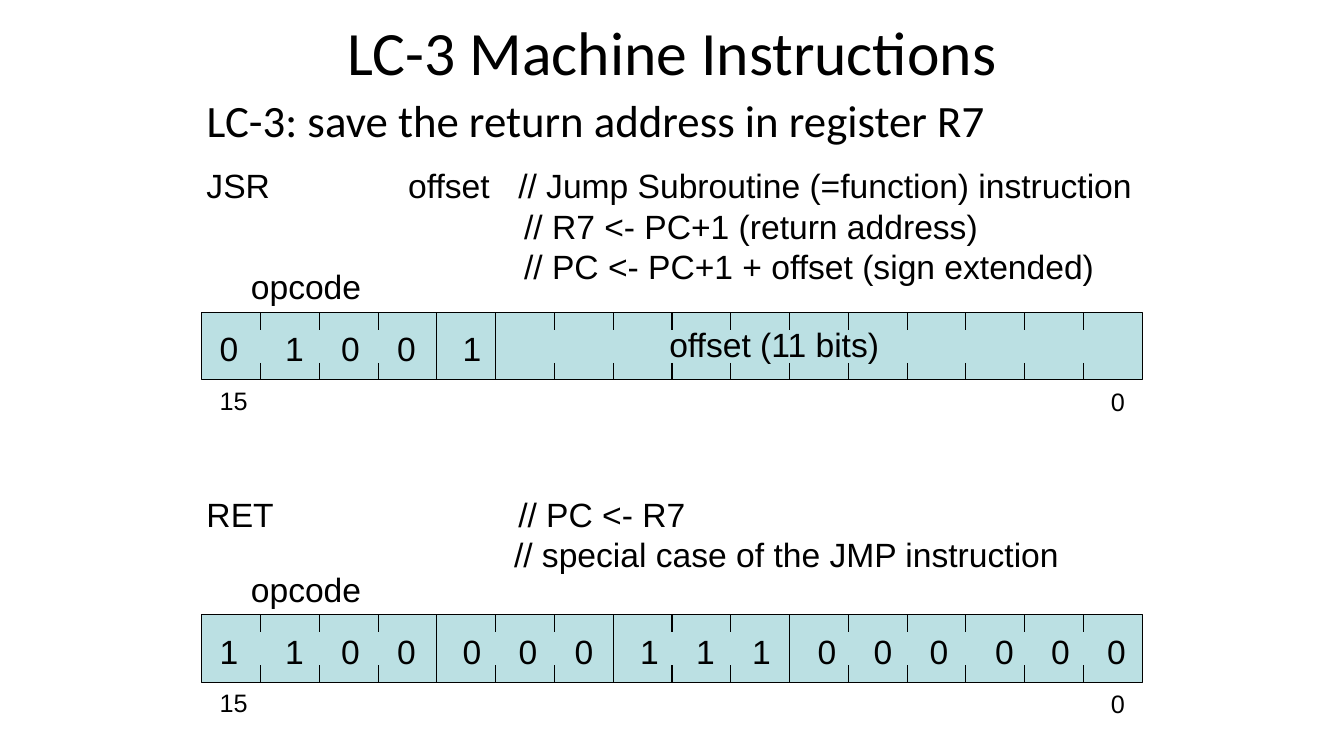
"""Build the slide on the LC-3 instructions JSR and RET."""
from dataclasses import dataclass

from lxml import etree
from pptx import Presentation
from pptx.dml.color import RGBColor
from pptx.enum.shapes import MSO_CONNECTOR, MSO_SHAPE
from pptx.enum.text import MSO_ANCHOR, MSO_AUTO_SIZE, PP_ALIGN
from pptx.oxml.ns import qn
from pptx.util import Inches, Pt

STRAIGHT = MSO_CONNECTOR.STRAIGHT
RECTANGLE = MSO_SHAPE.RECTANGLE
MIDDLE = MSO_ANCHOR.MIDDLE
CENTER = PP_ALIGN.CENTER
LEFT = PP_ALIGN.LEFT
FIT_SHAPE = MSO_AUTO_SIZE.SHAPE_TO_FIT_TEXT
NO_FIT = MSO_AUTO_SIZE.NONE

BLACK = "000000"
CELL_FILL = "BBE0E3"
HEADING_FONT = "Calibri"
TEXT_FONT = "Arial"
BIT_COUNT = 16
MIDDLE_COLUMN = BIT_COUNT // 2
WORD_LEFT = 2.0
WORD_WIDTH = 9.33
WORD_HEIGHT = 0.67
TICK = 0.17
BIT_SPACING = 2000
BIT_GROUP_SPACING = 2670
BIT_GROUP_SIZE = 3


@dataclass(frozen=True)
class Line:
    text: str
    indent: float = 0


@dataclass(frozen=True)
class Label:
    text: str
    left: float
    drop: float
    width: float
    size: int = 24


@dataclass(frozen=True)
class Instruction:
    lines: tuple[Line, ...]
    text_top: float
    word_top: float
    bits: str
    bits_drop: float
    bits_width: float
    dividers: tuple[int, ...]
    labels: tuple[Label, ...] = ()


COMMON_LABELS = (
    Label("opcode", 2.39, -0.51, 1.31),
    Label("0", 10.92, 0.68, 0.34, 18),
    Label("15", 2.08, 0.67, 0.48, 18),
)
INSTRUCTIONS = (
    Instruction(
        (
            Line("JSR\t\t\toffset\t // Jump Subroutine (=function) instruction"),
            Line("// R7 <- PC+1 (return address)", 3.15),
            Line("// PC <- PC+1 + offset (sign extended)", 3.15),
        ),
        1.59, 3.1, "01001", 0.1, 2.81, (4, 5),
        (Label("offset (11 bits)", 6.54, 0.06, 2.33),),
    ),
    Instruction(
        (
            Line("RET\t\t\t\t\t // PC <- R7"),
            Line("// special case of the JMP instruction", 3.05),
        ),
        4.85, 6.1, "1100000111000000", 0.11, 9.24, (4, 7, 10),
    ),
)


def color(value: str) -> RGBColor:
    """Turn a hex string into a colour."""
    return RGBColor.from_string(value)


def set_font(paragraph, name: str, size: int) -> None:
    """Set the font of a whole paragraph."""
    paragraph.font.name = name
    paragraph.font.size = Pt(size)
    paragraph.font.color.rgb = color(BLACK)


def set_indent(paragraph, indent: float) -> None:
    """Set the left margin of a paragraph without a hanging first line."""
    properties = paragraph._p.get_or_add_pPr()
    properties.set("marL", str(Inches(indent)))
    properties.set("indent", "0")


def fill_placeholder(shape, text: str, box: tuple[float, ...], size: int, alignment) -> None:
    """Place a placeholder and give it one plain paragraph."""
    shape.left, shape.top, shape.width, shape.height = map(Inches, box)
    shape.text_frame.auto_size = NO_FIT
    paragraph = shape.text_frame.paragraphs[0]
    paragraph.text = text
    paragraph.alignment = alignment
    set_indent(paragraph, 0)
    etree.SubElement(paragraph._p.get_or_add_pPr(), qn("a:buNone"))
    set_font(paragraph, HEADING_FONT, size)


def add_text(shapes, lines: tuple[Line, ...], left: float, top: float,
             width: float, size: int = 24):
    """Add a text box with one paragraph for each line and return its frame."""
    height = 0.1 + len(lines) * size / 60
    box = shapes.add_textbox(Inches(left), Inches(top), Inches(width), Inches(height))
    frame = box.text_frame
    frame.word_wrap = True
    frame.auto_size = FIT_SHAPE
    for index, line in enumerate(lines):
        paragraph = frame.add_paragraph() if index else frame.paragraphs[0]
        paragraph.text = line.text
        set_indent(paragraph, line.indent)
        set_font(paragraph, TEXT_FONT, size)
    return frame


def add_bits(shapes, instruction: Instruction) -> None:
    """Write the bits in one line, with widened spaces that reach the next cell."""
    frame = add_text(shapes, (Line(instruction.bits[0]),), 2.08,
                     instruction.word_top + instruction.bits_drop, instruction.bits_width)
    paragraph = frame.paragraphs[0]
    for index, bit in enumerate(instruction.bits[1:]):
        gap = paragraph.add_run()
        gap.text = " "
        spacing = BIT_SPACING if index % BIT_GROUP_SIZE else BIT_GROUP_SPACING
        gap._r.get_or_add_rPr().set("spc", str(spacing))
        paragraph.add_run().text = bit


def add_divider(shapes, x: float, top: float, bottom: float):
    """Add a thin vertical line."""
    line = shapes.add_connector(STRAIGHT, Inches(x), Inches(top), Inches(x), Inches(bottom))
    line.line.color.rgb = color(BLACK)
    line.line.width = Pt(0.75)
    etree.SubElement(line._element.spPr, qn("a:effectLst"))
    return line


def add_word(shapes, instruction: Instruction) -> None:
    """Draw the 16-bit word of an instruction with its labels."""
    top = instruction.word_top
    bottom = top + WORD_HEIGHT
    word = shapes.add_shape(RECTANGLE, Inches(WORD_LEFT), Inches(top),
                            Inches(WORD_WIDTH), Inches(WORD_HEIGHT))
    word.shadow.inherit = False
    word.fill.solid()
    word.fill.fore_color.rgb = color(CELL_FILL)
    word.line.color.rgb = color(BLACK)
    word.line.width = Pt(0.75)
    for column in range(1, BIT_COUNT):
        x = WORD_LEFT + column * WORD_WIDTH / BIT_COUNT
        if column in instruction.dividers:
            add_divider(shapes, x, top, bottom)
            continue
        upper = add_divider(shapes, x, top, top + TICK)
        lower = add_divider(shapes, x, bottom - TICK, bottom)
        if column == MIDDLE_COLUMN:
            upper.begin_connect(word, 0)
            lower.end_connect(word, 2)
    add_bits(shapes, instruction)
    for label in COMMON_LABELS + instruction.labels:
        add_text(shapes, (Line(label.text),), label.left, top + label.drop,
                 label.width, label.size)


def main() -> None:
    """Build and save the presentation."""
    presentation = Presentation()
    presentation.slide_width = Inches(13.33)
    presentation.slide_height = Inches(7.5)
    slide = presentation.slides.add_slide(presentation.slide_layouts[1])
    title, body = slide.placeholders
    fill_placeholder(title, "LC-3 Machine Instructions", (2.17, 0.05, 9, 0.91), 44, CENTER)
    title.text_frame.vertical_anchor = MIDDLE
    fill_placeholder(body, "LC-3: save the return address in register R7",
                     (1.95, 0.87, 9.64, 0.69), 32, LEFT)
    for instruction in INSTRUCTIONS:
        add_text(slide.shapes, instruction.lines, 1.95, instruction.text_top, 9.54)
        add_word(slide.shapes.add_group_shape().shapes, instruction)
    presentation.save("out.pptx")


if __name__ == "__main__":
    main()
